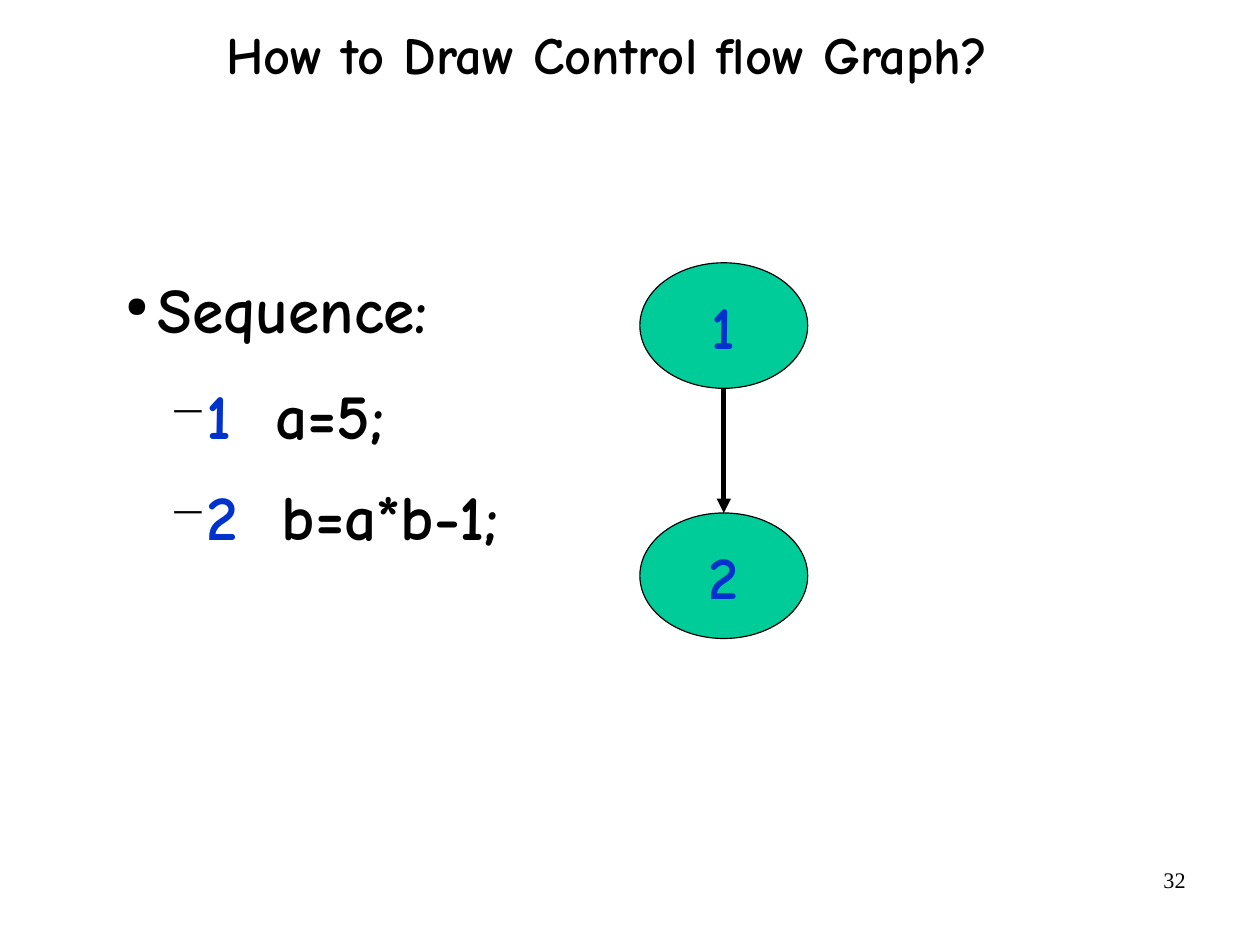
from dataclasses import dataclass

from lxml.etree import SubElement
from pptx import Presentation
from pptx.dml.color import RGBColor
from pptx.enum.shapes import MSO_CONNECTOR, MSO_SHAPE
from pptx.enum.text import MSO_ANCHOR, PP_ALIGN
from pptx.oxml.ns import qn
from pptx.util import Cm, Pt

HEADING_FONT = "Comic Neue"
NUMBER_FONT = "Times New Roman"
BLACK = "000000"
BLUE = "0033CC"
GREEN = "00CC99"

NODE_LEFT, NODE_TOP = 14.22, 5.84
NODE_WIDTH, NODE_HEIGHT = 3.73, 2.79
NODE_STEP = 5.56


@dataclass
class BulletStyle:
    level: int
    char: str
    percent: int
    margin: float
    hanging: float
    space_after: float


@dataclass
class Statement:
    number: str
    code: str


TOPIC = BulletStyle(0, "●", 45, 0.71, 0.71, 13.8)
STEP = BulletStyle(1, "−", 75, 1.55, 0.58, 10.9)
STATEMENTS = [Statement("1", "a=5;"), Statement("2", "b=a*b-1;")]


def color(value: str) -> RGBColor:
    return RGBColor.from_string(value)


def add_span(para, text: str, size: float, fill: str = BLACK,
             font: str = HEADING_FONT, bold: bool = True):
    span = para.add_run()
    span.text = text
    span.font.size = Pt(size)
    span.font.name = font
    span.font.bold = bold
    span.font.color.rgb = color(fill)
    return span


def set_frame(frame, anchor, side: float, edge: float, wrap: bool = True) -> None:
    """Set anchor, wrapping and the inner margins in centimetres."""
    frame.word_wrap = wrap
    frame.vertical_anchor = anchor
    frame.margin_left = frame.margin_right = Cm(side)
    frame.margin_top = frame.margin_bottom = Cm(edge)


def add_text_box(page, left: float, top: float, width: float, height: float,
                 anchor=MSO_ANCHOR.TOP, side: float = 0, edge: float = 0):
    box = page.shapes.add_textbox(Cm(left), Cm(top), Cm(width), Cm(height))
    set_frame(box.text_frame, anchor, side, edge)
    return box.text_frame


def set_bullet(para, style: BulletStyle) -> None:
    para.level = style.level
    para.line_spacing = 1.1
    para.space_before = Pt(0)
    para.space_after = Pt(style.space_after)
    properties = para._p.get_or_add_pPr()
    properties.set("marL", str(Cm(style.margin)))
    properties.set("indent", str(-Cm(style.hanging)))
    bullet_color = SubElement(properties, qn("a:buClr"))
    SubElement(bullet_color, qn("a:srgbClr"), val=BLACK)
    SubElement(properties, qn("a:buSzPct"), val=str(style.percent * 1000))
    SubElement(properties, qn("a:buChar"), char=style.char)


def add_statement(para, statement: Statement) -> None:
    set_bullet(para, STEP)
    add_span(para, statement.number, 40, BLUE)
    gap = add_span(para, " ", 40)
    gap.font._element.set("spc", "1300")
    add_span(para, statement.code, 40)


def add_node(page, index: int, label: str):
    node = page.shapes.add_shape(
        MSO_SHAPE.OVAL, Cm(NODE_LEFT), Cm(NODE_TOP + index * NODE_STEP),
        Cm(NODE_WIDTH), Cm(NODE_HEIGHT))
    node.shadow.inherit = False
    node.fill.solid()
    node.fill.fore_color.rgb = color(GREEN)
    node.line.color.rgb = color(BLACK)
    node.line.width = Pt(0.75)
    set_frame(node.text_frame, MSO_ANCHOR.MIDDLE, 0.2, 0.1, wrap=False)
    para = node.text_frame.paragraphs[0]
    para.alignment = PP_ALIGN.CENTER
    add_span(para, label, 38, BLUE)
    return node


def add_flow_arrow(page, source, target) -> None:
    center = source.left + source.width // 2
    arrow = page.shapes.add_connector(
        MSO_CONNECTOR.STRAIGHT, center, source.top + source.height,
        center, target.top)
    arrow.line.color.rgb = color(BLACK)
    arrow.line.width = Pt(3)
    SubElement(arrow.line._get_or_add_ln(), qn("a:tailEnd"), type="triangle")
    SubElement(arrow._element.spPr, qn("a:effectLst"))


def main() -> None:
    deck = Presentation()
    deck.slide_width, deck.slide_height = Cm(28), Cm(21)
    page = deck.slides.add_slide(deck.slide_layouts[6])

    page_number = add_text_box(page, 20.07, 19.13, 6.53, 1.45, side=0.25, edge=0.13)
    para = page_number.paragraphs[0]
    para.alignment = PP_ALIGN.RIGHT
    add_span(para, "32", 14, font=NUMBER_FONT, bold=False)

    title = add_text_box(page, 3.56, -0.74, 19.86, 4.06, MSO_ANCHOR.MIDDLE)
    para = title.paragraphs[0]
    para.alignment = PP_ALIGN.CENTER
    para.line_spacing = 0.88
    add_span(para, "How to Draw Control flow Graph?", 33)

    body = add_text_box(page, 2.79, 5.84, 25.2, 10.39)
    para = body.paragraphs[0]
    set_bullet(para, TOPIC)
    add_span(para, "Sequence:", 40)
    for statement in STATEMENTS:
        add_statement(body.add_paragraph(), statement)

    nodes = [add_node(page, index, statement.number)
             for index, statement in enumerate(STATEMENTS)]
    for source, target in zip(nodes, nodes[1:]):
        add_flow_arrow(page, source, target)

    deck.save("out.pptx")


if __name__ == "__main__":
    main()
